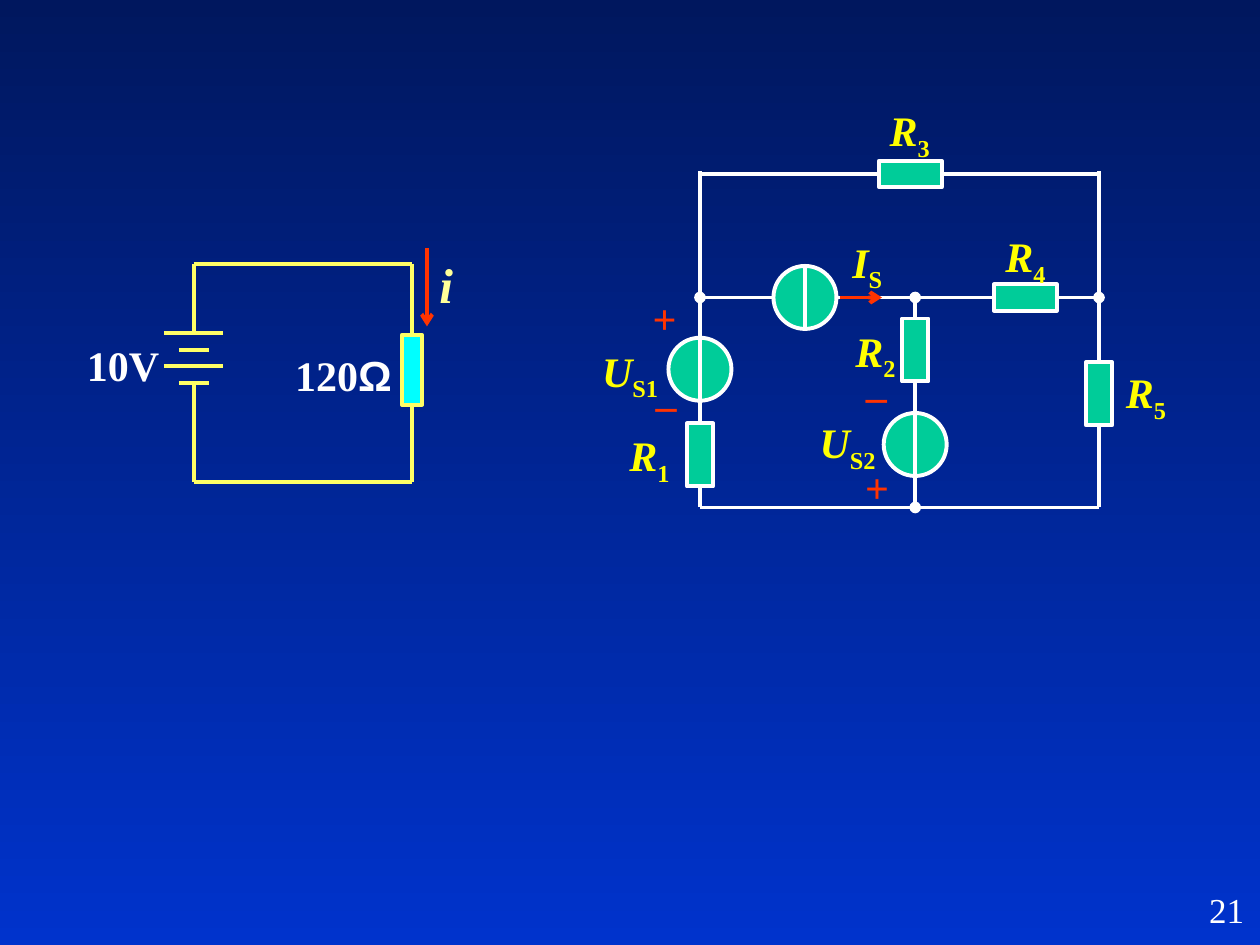
"""Draw two resistor circuits on a dark blue gradient slide."""
from lxml import etree
from pptx import Presentation
from pptx import util as u
from pptx.dml.color import RGBColor
from pptx.enum import shapes, text
from pptx.oxml import ns

WHITE = RGBColor(0xFF, 0xFF, 0xFF)
YELLOW = RGBColor(0xFF, 0xFF, 0x00)
WIRE_YELLOW = RGBColor(0xFF, 0xFF, 0x66)
PALE_YELLOW = RGBColor(0xFF, 0xFF, 0x99)
RED = RGBColor(0xFF, 0x33, 0x00)
GREEN = RGBColor(0x00, 0xCC, 0x99)
CYAN = RGBColor(0x00, 0xFF, 0xFF)
NAVY = RGBColor(0x00, 0x17, 0x5E)
BLUE = RGBColor(0x00, 0x33, 0xCC)

SHAPE = shapes.MSO_SHAPE
ALIGN = text.PP_ALIGN
ANCHOR = text.MSO_ANCHOR


class Circuit:
    font = "Times New Roman"
    width = 2.25

    def __init__(self, slide):
        self.s = slide

    def background(self, top, bottom):
        fill = self.s.background.fill
        fill.gradient()
        fill.gradient_angle = 270
        for stop, color, pos in zip(fill.gradient_stops, (top, bottom), (0, 1)):
            stop.color.rgb = color
            stop.position = pos

    def shape(self, kind, cx, cy, w, h, fill, line):
        sp = self.s.shapes.add_shape(
            kind, u.Pt(cx - w / 2), u.Pt(cy - h / 2), u.Pt(w), u.Pt(h))
        sp.shadow.inherit = False
        sp.fill.solid()
        sp.fill.fore_color.rgb = fill
        sp.line.color.rgb = line
        sp.line.width = u.Pt(self.width)

    def source(self, cx, cy):
        self.shape(SHAPE.OVAL, cx, cy, 36, 36, GREEN, WHITE)

    def resistor(self, cx, cy, upright=True):
        w, h = (15, 36) if upright else (36, 15)
        self.shape(SHAPE.RECTANGLE, cx, cy, w, h, GREEN, WHITE)

    def line(self, x1, y1, x2, y2, color=WHITE, head=None, tail=None):
        c = self.s.shapes.add_connector(
            shapes.MSO_CONNECTOR.STRAIGHT, u.Pt(x1), u.Pt(y1), u.Pt(x2), u.Pt(y2))
        c.line.color.rgb = color
        c.line.width = u.Pt(self.width)
        ln = c.line._get_or_add_ln()
        for tag, end in (("a:headEnd", head), ("a:tailEnd", tail)):
            if end:
                etree.SubElement(ln, ns.qn(tag)).set("type", end)
        etree.SubElement(c._element.spPr, ns.qn("a:effectLst"))

    def text(self, x, y, w, h, runs, color=WHITE, size=24, bold=True,
             align=ALIGN.LEFT, anchor=ANCHOR.TOP, spacing=None):
        tf = self.s.shapes.add_textbox(u.Pt(x), u.Pt(y), u.Pt(w), u.Pt(h)).text_frame
        tf.word_wrap = True
        tf.vertical_anchor = anchor
        p = tf.paragraphs[0]
        p.alignment = align
        if spacing:
            p.line_spacing = spacing
        for content, style in runs:
            r = p.add_run()
            r.text = content
            r.font.name = style.get("font", self.font)
            r.font.size = u.Pt(size)
            r.font.bold = bold
            r.font.italic = style.get("italic", False)
            r.font.color.rgb = color
            if style.get("sub"):
                r._r.get_or_add_rPr().set("baseline", "-25000")

    def label(self, x, y, w, symbol, index):
        runs = [(symbol, {"italic": True}), (index, {"sub": True})]
        self.text(x, y, w, 40.3, runs, YELLOW)

    def sign(self, x, y, mark):
        self.text(x, y, 28, 36, [(mark, {})], RED, align=ALIGN.CENTER,
                  anchor=ANCHOR.MIDDLE)

    def value(self, x, y, w, runs):
        self.text(x, y, w, 41.8, runs, align=ALIGN.JUSTIFY, spacing=1.2)


def draw_bridge(c):
    left, mid, right = 400, 523, 628
    top, node, bottom = 99.4, 170, 290
    c.source(mid, 254)
    c.source(left, 211)
    c.source(460, node)
    c.line(460, node - 18, 460, node + 18)
    c.line(442, node, left, node, tail="oval")
    c.line(478, node, right, node, tail="oval")
    c.line(mid, node, mid, bottom, head="oval", tail="oval")
    for x in (left, right):
        c.line(x, top - 1.4, x, bottom)
    for y in (top, bottom):
        c.line(left, y, right, y)
    for x, y in ((left, 260), (mid, 200), (right, 225)):
        c.resistor(x, y)
    for x, y in ((520.2, top), (586, node)):
        c.resistor(x, y, upright=False)
    for x, y, w, symbol, index in (
            (337, 193.7, 52, "U", "S1"), (461.3, 234.7, 52, "U", "S2"),
            (352.6, 242, 42, "R", "1"), (481.7, 182.2, 42, "R", "2"),
            (501.3, 56.2, 42, "R", "3"), (567.4, 128.2, 42, "R", "4"),
            (636.3, 206, 42, "R", "5"), (480, 131.4, 36, "I", "S")):
        c.label(x, y, w, symbol, index)
    for x, y, mark in ((365.8, 163.6, "+"), (366.7, 204.5, "_"),
                       (486.8, 199.6, "_"), (487.2, 260, "+")):
        c.sign(x, y, mark)
    c.line(480.2, node, 504, node, RED, tail="arrow")


def draw_loop(c):
    left, right, top, bottom = 110.7, 235.4, 150.7, 275.3
    plates = (190.3, 199.8, 209.4, 218.9)
    for i, y in enumerate(plates):
        half = 8.5 if i % 2 else 17
        c.line(left - half, y, left + half, y, WIRE_YELLOW)
    c.line(left, plates[0], left, top, WIRE_YELLOW)
    c.line(left, plates[-1], left, bottom, WIRE_YELLOW)
    c.line(right, top, right, bottom, WIRE_YELLOW)
    for y in (top, bottom):
        c.line(left, y, right, y, WIRE_YELLOW)
    c.shape(SHAPE.RECTANGLE, right, 211.3, 11.5, 40, CYAN, WIRE_YELLOW)
    c.value(42.5, 184.6, 57, [("10V", {})])
    c.value(161.5, 190.4, 73.4, [("120", {}), ("Ω", {"font": "Arial"})])
    c.line(244, 142, 244, 186.5, RED, tail="arrow")
    c.text(244, 142, 46.8, 41, [("i", {"italic": True})], PALE_YELLOW, 28)


def main():
    prs = Presentation()
    prs.slide_width, prs.slide_height = u.Pt(720), u.Pt(540)
    c = Circuit(prs.slides.add_slide(prs.slide_layouts[6]))
    c.background(NAVY, BLUE)
    draw_bridge(c)
    draw_loop(c)
    c.text(568, 504, 150, 36, [("21", {})], size=20, bold=False, align=ALIGN.RIGHT)
    prs.save("out.pptx")


if __name__ == "__main__":
    main()
